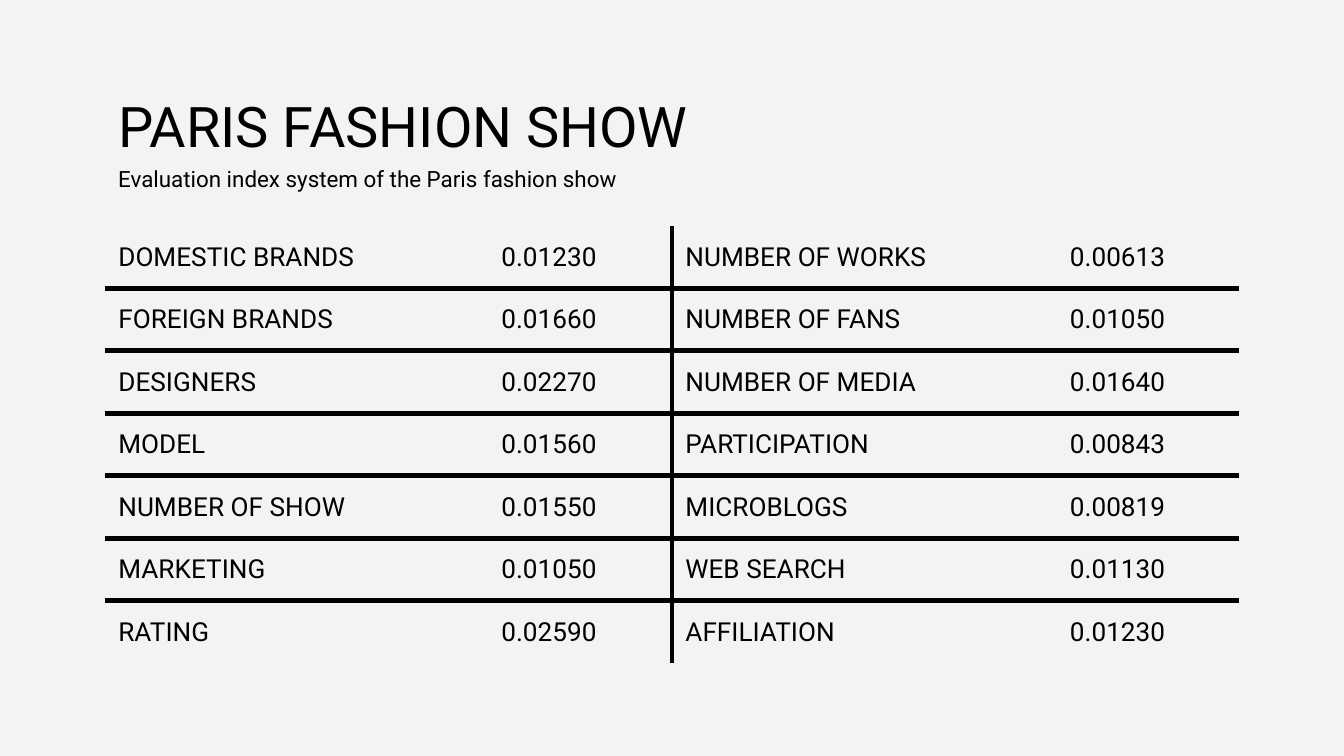
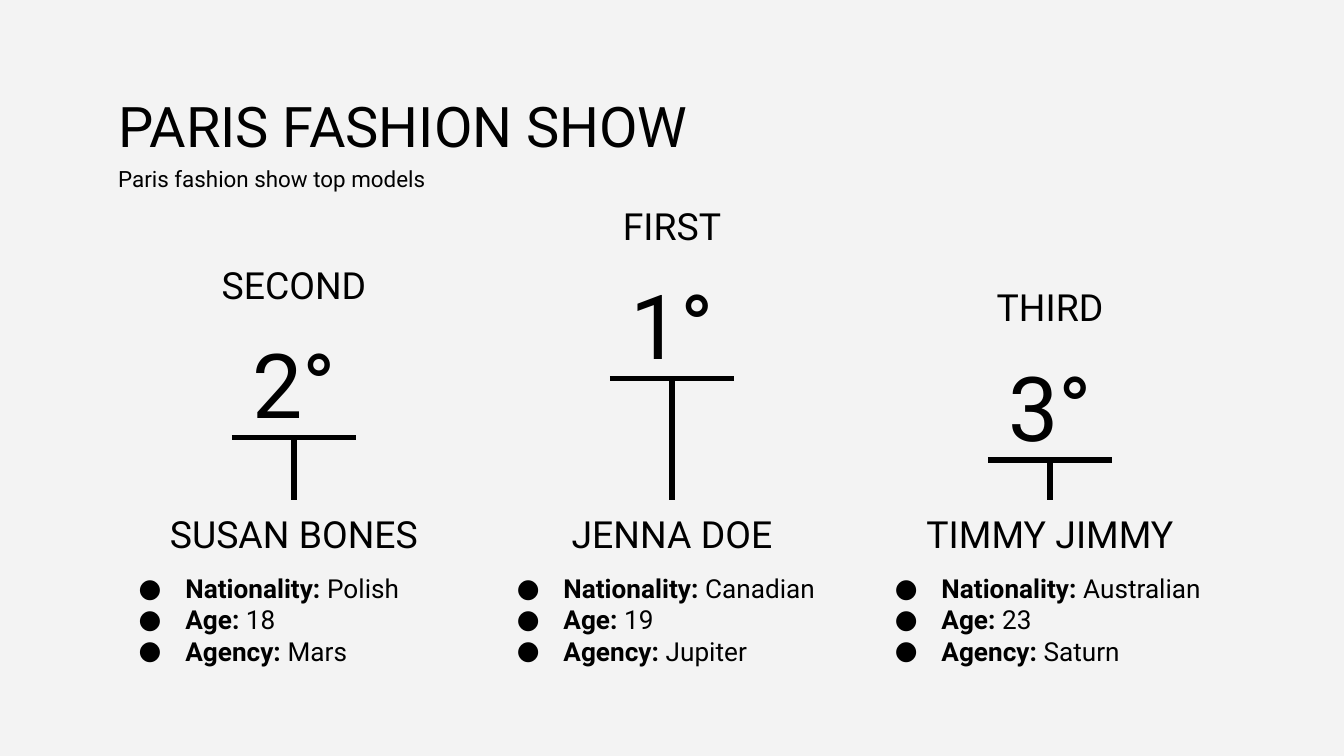
import pptx
import pptx.util
import pptx.dml.color
import pptx.enum.shapes
import pptx.enum.text
import lxml.etree
from pptx.oxml.ns import qn

Pt = pptx.util.Pt
ANCHOR = pptx.enum.text.MSO_ANCHOR
ALIGN = pptx.enum.text.PP_ALIGN
BLACK = pptx.dml.color.RGBColor(0, 0, 0)
PALE = pptx.dml.color.RGBColor(0xF3, 0xF3, 0xF3)
FONT = "Roboto"
LEFT, WIDTH = 56.2, 607.6
PAD = 7.2
RULE = 3


def style(font, size, bold=False):
    font.name, font.size, font.bold = FONT, Pt(size), bold
    font.color.rgb = BLACK


def add_text(slide, text, box, size, anchor=ANCHOR.TOP, align=ALIGN.LEFT):
    frame = slide.shapes.add_textbox(*map(Pt, box)).text_frame
    frame.word_wrap = True
    frame.vertical_anchor = anchor
    frame.margin_left = frame.margin_right = Pt(PAD)
    frame.margin_top = frame.margin_bottom = Pt(PAD)
    frame.text = text
    for para in frame.paragraphs:
        para.alignment = align
        for run in para.runs:
            style(run.font, size)
    return frame


prs = pptx.Presentation()
prs.slide_width, prs.slide_height = Pt(720), Pt(405)

# Background, title and subtitle on both slides
slides = []
for sub in ("Evaluation index system of the Paris fashion show",
            "Paris fashion show top models"):
    slide = prs.slides.add_slide(prs.slide_layouts[6])
    slide.background.fill.solid()
    slide.background.fill.fore_color.rgb = PALE
    add_text(slide, "PARIS FASHION SHOW", (LEFT, 42, WIDTH, 45), 30)
    add_text(slide, sub, (LEFT, 81.5, WIDTH, 23), 12)
    slides.append(slide)
index, podium = slides

# Slide 1: index table
rows = [
    ("DOMESTIC BRANDS", "0.01230", "NUMBER OF WORKS", "0.00613"),
    ("FOREIGN BRANDS", "0.01660", "NUMBER OF FANS", "0.01050"),
    ("DESIGNERS", "0.02270", "NUMBER OF MEDIA", "0.01640"),
    ("MODEL", "0.01560", "PARTICIPATION", "0.00843"),
    ("NUMBER OF SHOW", "0.01550", "MICROBLOGS", "0.00819"),
    ("MARKETING", "0.01050", "WEB SEARCH", "0.01130"),
    ("RATING", "0.02590", "AFFILIATION", "0.01230"),
]
high = 33.5
table = index.shapes.add_table(
    len(rows), 4, Pt(LEFT), Pt(121), Pt(WIDTH), Pt(high * len(rows))).table
table.first_row = table.horz_banding = False
for col, wide in zip(table.columns, (205.2, 98.6, 206, 97.8)):
    col.width = Pt(wide)
for r, row in enumerate(rows):
    table.rows[r].height = Pt(high)
    for c, text in enumerate(row):
        cell = table.cell(r, c)
        cell.text = text
        style(cell.text_frame.paragraphs[0].runs[0].font, 14)
        cell.vertical_anchor = ANCHOR.MIDDLE
        cell.margin_left = cell.margin_right = Pt(PAD)
        cell.margin_top = cell.margin_bottom = Pt(PAD)
        cell.fill.background()
        # Rules between rows and down the middle only
        props = cell._tc.get_or_add_tcPr()
        edges = {"lnL": c == 2, "lnR": c == 1,
                 "lnT": r > 0, "lnB": r < len(rows) - 1}
        for spot, (tag, shown) in enumerate(edges.items()):
            edge = lxml.etree.Element(qn("a:" + tag), w=str(Pt(RULE)))
            if shown:
                fill = lxml.etree.SubElement(edge, qn("a:solidFill"))
                lxml.etree.SubElement(fill, qn("a:srgbClr"), val=str(BLACK))
            else:
                lxml.etree.SubElement(edge, qn("a:noFill"))
            props.insert(spot, edge)

# Slide 2: podium of three models
models = [
    ("SECOND", "2°", 234.3, "SUSAN BONES", "Polish", "18", "Mars"),
    ("FIRST", "1°", 202.8, "JENNA DOE", "Canadian", "19", "Jupiter"),
    ("THIRD", "3°", 246.4, "TIMMY JIMMY", "Australian", "23", "Saturn"),
]
wide = WIDTH / len(models)
base, half = 267.8, 33.3
for i, (place, rank, top, name, *facts) in enumerate(models):
    x = LEFT + i * wide
    mid = x + wide / 2
    add_text(podium, place, (x, top - 100.2, wide, 37.4), 20,
             ANCHOR.BOTTOM, ALIGN.CENTER)
    add_text(podium, rank, (x, top - 58.4, wide, 58.4), 48,
             ANCHOR.MIDDLE, ALIGN.CENTER)
    add_text(podium, name, (x, base, wide, 37.4), 20,
             ANCHOR.BOTTOM, ALIGN.CENTER)

    # Stand: top bar and post
    for ends in ((mid - half, top, mid + half, top), (mid, top, mid, base)):
        line = podium.shapes.add_connector(
            pptx.enum.shapes.MSO_CONNECTOR.STRAIGHT, *map(Pt, ends))
        line.line.color.rgb = BLACK
        line.line.width = Pt(RULE)
        lxml.etree.SubElement(line._element.spPr, qn("a:effectLst"))

    # Bulleted facts
    frame = add_text(podium, "", (x, 299.5, wide, 62.6), 14)
    for n, (label, fact) in enumerate(
            zip(("Nationality:", "Age:", "Agency:"), facts)):
        para = frame.add_paragraph() if n else frame.paragraphs[0]
        props = para._p.get_or_add_pPr()
        props.set("marL", str(Pt(36)))
        props.set("indent", str(-Pt(25)))
        tint = lxml.etree.SubElement(props, qn("a:buClr"))
        lxml.etree.SubElement(tint, qn("a:srgbClr"), val=str(BLACK))
        lxml.etree.SubElement(props, qn("a:buFont"), typeface=FONT)
        lxml.etree.SubElement(props, qn("a:buChar"), char="●")
        for text, bold in ((label, True), (" " + fact, False)):
            run = para.add_run()
            run.text = text
            style(run.font, 14, bold)

prs.save("out.pptx")
